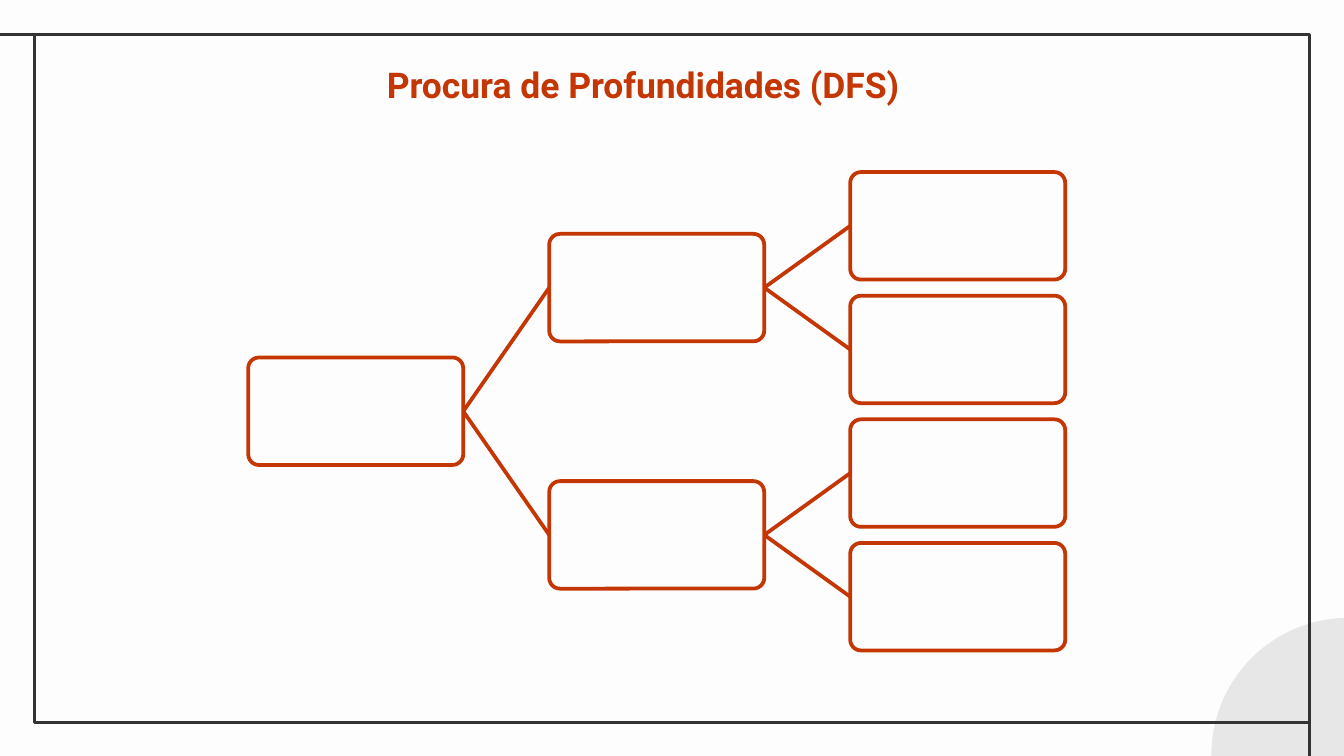
from pptx import Presentation
from pptx.dml.color import RGBColor
from pptx.enum import shapes, text
from pptx.oxml import ns
from pptx.util import Pt
from lxml import etree

BACKGROUND = RGBColor(0xFD, 0xFD, 0xFD)
ACCENT = RGBColor(0xC4, 0x36, 0x04)
FRAME = RGBColor(0x33, 0x33, 0x33)
CORNER = RGBColor(0xE8, 0xE7, 0xE7)
SLIDE_WIDTH, SLIDE_HEIGHT = Pt(720), Pt(405)


def write_text(frame, content, *, font, size, color, bold=False, align=text.PP_ALIGN.LEFT):
    """Write one formatted paragraph into a text frame."""
    paragraph = frame.paragraphs[0]
    paragraph.alignment = align
    run = paragraph.add_run()
    run.text = content
    run.font.name = font
    run.font.size = Pt(size)
    run.font.bold = bold
    run.font.color.rgb = color


def add_box(slide, kind, left, top, width, height, *, fill=None, line=None, weight=2):
    """Add a flat preset shape with an optional fill and outline."""
    shape = slide.shapes.add_shape(kind, left, top, width, height)
    shape.shadow.inherit = False
    if fill is None:
        shape.fill.background()
    else:
        shape.fill.solid()
        shape.fill.fore_color.rgb = fill
    if line is None:
        shape.line.fill.background()
    else:
        shape.line.color.rgb = line
        shape.line.width = Pt(weight)
    return shape


def add_line(slide, start, end, *, color, weight):
    """Add a straight connector without a shadow."""
    connector = slide.shapes.add_connector(shapes.MSO_CONNECTOR.STRAIGHT, *start, *end)
    connector.line.color.rgb = color
    connector.line.width = Pt(weight)
    etree.SubElement(connector._element.spPr, ns.qn("a:effectLst"))
    return connector


def add_backdrop(slide, left, top, width, height):
    """Draw the corner disc and the frame with its two lines to the slide edge."""
    right, bottom = left + width, top + height
    add_box(slide, shapes.MSO_SHAPE.OVAL, Pt(649), Pt(331), Pt(147), Pt(147), fill=CORNER)
    add_box(slide, shapes.MSO_SHAPE.RECTANGLE, left, top, width, height, line=FRAME, weight=1.5)
    for start, end in (
        ((left, top), (0, top)),
        ((right, bottom), (right, SLIDE_HEIGHT)),
    ):
        add_line(slide, start, end, color=FRAME, weight=1.5)


def add_title(slide, left, top, width, height):
    """Place and format the title placeholder."""
    title = slide.shapes.title
    title.left, title.top, title.width, title.height = left, top, width, height
    frame = title.text_frame
    frame.word_wrap = True
    frame.auto_size = text.MSO_AUTO_SIZE.NONE
    frame.vertical_anchor = text.MSO_ANCHOR.TOP
    frame.margin_left = frame.margin_right = frame.margin_top = frame.margin_bottom = Pt(7.2)
    write_text(frame, "Procura de Profundidades (DFS)",
               font="Roboto", size=19, color=ACCENT, bold=True)


def add_tree(slide, left, top, width, height, levels=3):
    """Draw a left-to-right binary tree of empty nodes that fills the box."""
    node_width, node_height = Pt(115.2), Pt(57.6)
    column_step = (width - node_width) // (levels - 1)
    row_step = (height - node_height) // (2 ** (levels - 1) - 1)

    def add_branch(level, first_row):
        """Draw a node, its children and the links between them."""
        leaves = 2 ** (levels - 1 - level)
        node_top = top + int((first_row + (leaves - 1) / 2) * row_step)
        node = add_box(slide, shapes.MSO_SHAPE.ROUNDED_RECTANGLE, left + level * column_step,
                       node_top, node_width, node_height, fill=BACKGROUND, line=ACCENT)
        node.adjustments[0] = 0.1
        if leaves > 1:
            for child_row in (first_row, first_row + leaves // 2):
                child = add_branch(level + 1, child_row)
                link = add_line(slide, (0, 0), (0, 0), color=ACCENT, weight=2)
                link.begin_connect(node, 3)
                link.end_connect(child, 1)
        return node

    add_branch(0, 0)


def main():
    """Build and save the slide."""
    presentation = Presentation()
    presentation.slide_width, presentation.slide_height = SLIDE_WIDTH, SLIDE_HEIGHT
    slide = presentation.slides.add_slide(presentation.slide_layouts[5])
    slide.background.fill.solid()
    slide.background.fill.fore_color.rgb = BACKGROUND
    add_backdrop(slide, Pt(18.3), Pt(18.3), Pt(683.3), Pt(368.7))
    add_title(slide, Pt(200), Pt(26.5), Pt(320), Pt(65.5))
    add_tree(slide, Pt(133), Pt(92.2), Pt(437.7), Pt(256.3))
    presentation.save("out.pptx")


if __name__ == "__main__":
    main()
